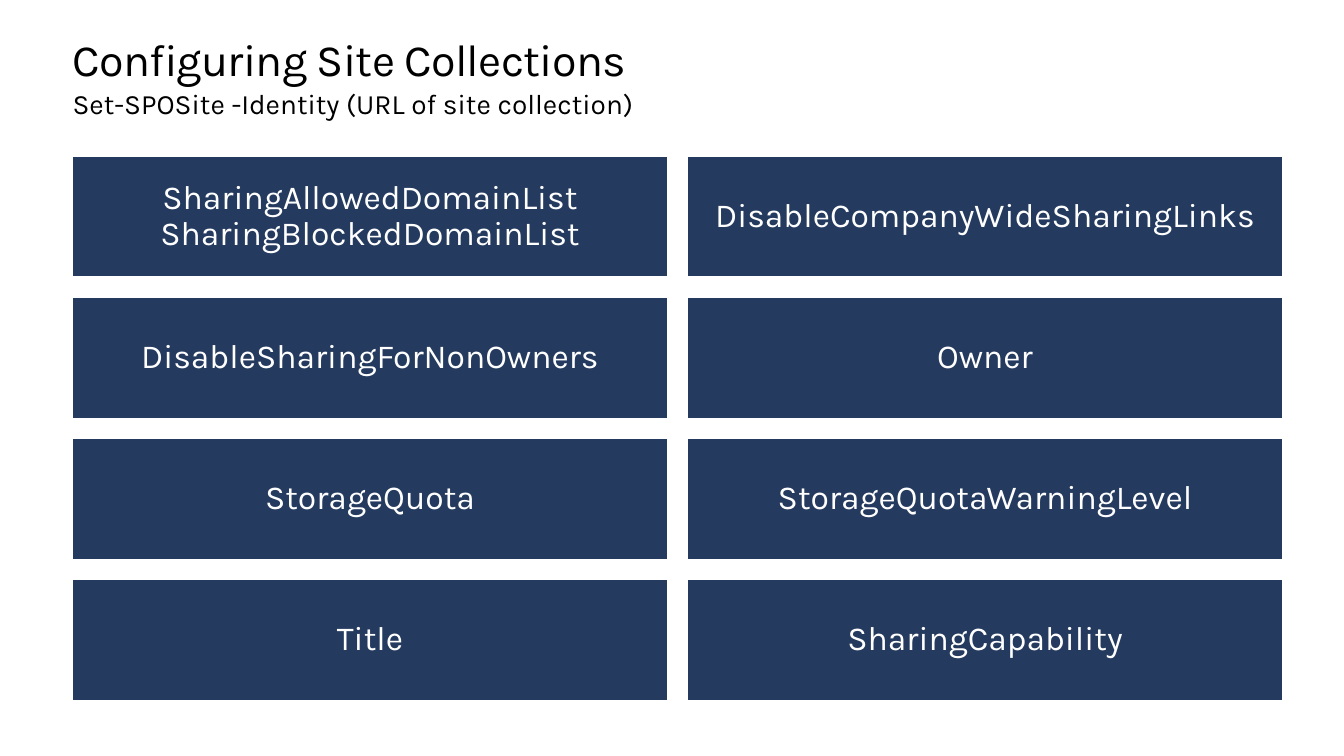
from pptx import Presentation
from pptx.dml.color import RGBColor
from pptx.enum import shapes, text
from pptx.util import Inches, Pt

NAVY = RGBColor(0x24, 0x3A, 0x5E)
WHITE = RGBColor(0xFF, 0xFF, 0xFF)
BLACK = RGBColor(0x00, 0x00, 0x00)

LEFT = 0.72
CARD_W, CARD_H = 5.9, 1.2
CARD_TOP, GAP = 1.55, 0.2
COLUMNS = 2

PARAMETERS = [
    "SharingAllowedDomainList\nSharingBlockedDomainList",
    "DisableCompanyWideSharingLinks",
    "DisableSharingForNonOwners",
    "Owner",
    "StorageQuota",
    "StorageQuotaWarningLevel",
    "Title",
    "SharingCapability",
]


def write(sp, content, size, color, margin):
    """Fill a shape with one paragraph and return that paragraph."""
    tf = sp.text_frame
    tf.word_wrap = True
    tf.margin_left = tf.margin_right = Inches(margin)
    tf.margin_top = tf.margin_bottom = Inches(margin)
    p = tf.paragraphs[0]
    p.text = content
    p.font.name = "Karla"
    p.font.size = Pt(size)
    p.font.color.rgb = color
    return p


prs = Presentation()
prs.slide_width, prs.slide_height = Inches(13.33), Inches(7.5)
s = prs.slides.add_slide(prs.slide_layouts[6])

title = s.shapes.add_textbox(Inches(LEFT), Inches(0.35), Inches(11.9), Inches(0.5))
p = write(title, "Configuring Site Collections", 32, BLACK, 0)
p.line_spacing = Pt(36.2)
p.runs[0]._r.get_or_add_rPr().set("spc", "-50")

subtitle = s.shapes.add_textbox(Inches(LEFT), Inches(0.86), Inches(11.9), Inches(0.5))
p = write(subtitle, "Set-SPOSite -Identity (URL of site collection)", 20, BLACK, 0)
p.space_before = Pt(6.7)

for i, parameter in enumerate(PARAMETERS):
    row, col = divmod(i, COLUMNS)
    card = s.shapes.add_shape(
        shapes.MSO_SHAPE.RECTANGLE,
        Inches(LEFT + col * (CARD_W + GAP)),
        Inches(CARD_TOP + row * (CARD_H + GAP)),
        Inches(CARD_W),
        Inches(CARD_H),
    )
    card.shadow.inherit = False
    card.fill.solid()
    card.fill.fore_color.rgb = NAVY
    card.line.color.rgb = WHITE
    card.line.width = Pt(1)
    card.text_frame.vertical_anchor = text.MSO_ANCHOR.MIDDLE
    p = write(card, parameter, 24, WHITE, 0.1)
    p.alignment = text.PP_ALIGN.CENTER
    p.line_spacing = 0.9

prs.save("out.pptx")
